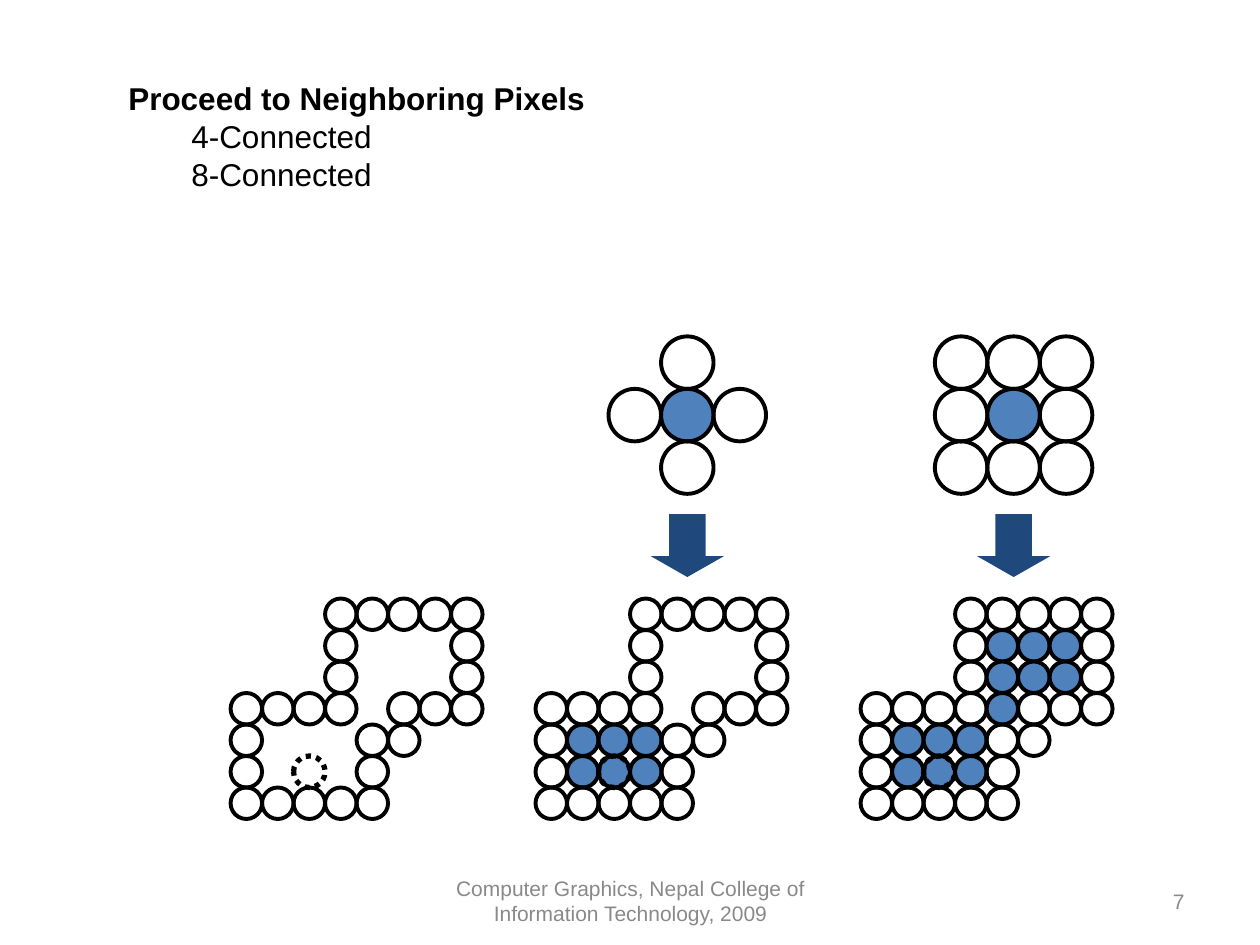
"""Build a slide comparing 4-connected and 8-connected pixel filling."""
import pptx
import pptx.dml.color
import pptx.enum.dml
import pptx.enum.shapes
import pptx.enum.text
import pptx.util

COLORS = {"text": "000000", "line": "000000", "fill": "4F81BD", "arrow": "1F497D", "footer": "898989"}
HEADING = [("Proceed to Neighboring Pixels", True, 0), ("4-Connected", False, 0.5), ("8-Connected", False, 0.5)]
FOOTER = [("Computer Graphics, Nepal College of Information Technology, 2009", "CENTER", 3.42, 3.17),
          ("7", "RIGHT", 7.17, 2.33)]

# "O" is a boundary pixel; "4" is filled by both methods, "8" by the 8-connected one only.
REGION = [
    "...OOOOO",
    "...O888O",
    "...O888O",
    "OOOO8OOO",
    "O444OO..",
    "O444O...",
    "OOOOO...",
]
SEED = (2, 5)
REGIONS = [(1.83, ""), (4.25, "4"), (6.83, "48")]
NEIGHBORS = [(4.83, [".O.", "O4O", ".O."]), (7.42, ["OOO", "O4O", "OOO"])]
REGION_TOP, PIXEL = 4.75, 0.25
NEIGHBOR_TOP, NEIGHBOR = 2.67, 1.25 / 3
ARROW_TOP, ARROW_W, ARROW_H = 4.08, 0.58, 0.5

ALIGN = pptx.enum.text.PP_ALIGN
SHAPE = pptx.enum.shapes.MSO_SHAPE
inches = pptx.util.Inches


def rgb(name):
    return pptx.dml.color.RGBColor.from_string(COLORS[name])


def add_text(s, box, paragraphs, size=18, color="text", align="LEFT", anchor="TOP", grow=False):
    tf = s.shapes.add_textbox(*map(inches, box)).text_frame
    tf.word_wrap = True
    tf.vertical_anchor = pptx.enum.text.MSO_ANCHOR[anchor]
    if grow:
        tf.auto_size = pptx.enum.text.MSO_AUTO_SIZE.SHAPE_TO_FIT_TEXT
    for i, (text, bold, indent) in enumerate(paragraphs):
        p = tf.add_paragraph() if i else tf.paragraphs[0]
        p.alignment = ALIGN[align]
        if indent:
            p.level = 1
            p._p.get_or_add_pPr().set("marL", str(inches(indent)))
        r = p.add_run()
        r.text = text
        r.font.name, r.font.size, r.font.bold = "Arial", pptx.util.Pt(size), bold
        r.font.color.rgb = rgb(color)


def add_shape(s, kind, box, fill=None, line=None, dash=None):
    sp = s.shapes.add_shape(kind, *map(inches, box))
    sp.shadow.inherit = False
    if fill:
        sp.fill.solid()
        sp.fill.fore_color.rgb = rgb(fill)
    else:
        sp.fill.background()
    if line:
        sp.line.color.rgb = rgb("line")
        sp.line.width = pptx.util.Pt(line)
        if dash:
            sp.line.dash_style = dash
    else:
        sp.line.fill.background()
    return sp


def add_pixels(s, left, top, size, rows, filled):
    for y, row in enumerate(rows):
        for x, mark in enumerate(row):
            if mark == "O" or mark in filled:
                add_shape(s, SHAPE.OVAL, (left + x * size, top + y * size, size, size),
                          fill="fill" if mark in filled else None, line=2.25)


def main():
    prs = pptx.Presentation()
    prs.slide_width, prs.slide_height = inches(10), inches(7.5)
    s = prs.slides.add_slide(prs.slide_layouts[6])

    for text, align, left, width in FOOTER:
        add_text(s, (left, 6.95, width, 0.4), [(text, False, 0)], size=12, color="footer",
                 align=align, anchor="MIDDLE")
    add_text(s, (0.92, 0.58, 5, 1), HEADING, grow=True)

    for left, rows in NEIGHBORS:
        add_pixels(s, left, NEIGHBOR_TOP, NEIGHBOR, rows, "4")
        center = left + 1.5 * NEIGHBOR
        arrow = add_shape(s, SHAPE.DOWN_ARROW, (center - ARROW_W / 2, ARROW_TOP, ARROW_W, ARROW_H), fill="arrow")
        arrow.adjustments[0], arrow.adjustments[1] = 0.5, 0.33

    for left, filled in REGIONS:
        add_pixels(s, left, REGION_TOP, PIXEL, REGION, filled)
        add_shape(s, SHAPE.OVAL, (left + SEED[0] * PIXEL, REGION_TOP + SEED[1] * PIXEL, PIXEL, PIXEL),
                  line=3, dash=pptx.enum.dml.MSO_LINE.ROUND_DOT)

    prs.save("out.pptx")


if __name__ == "__main__":
    main()
